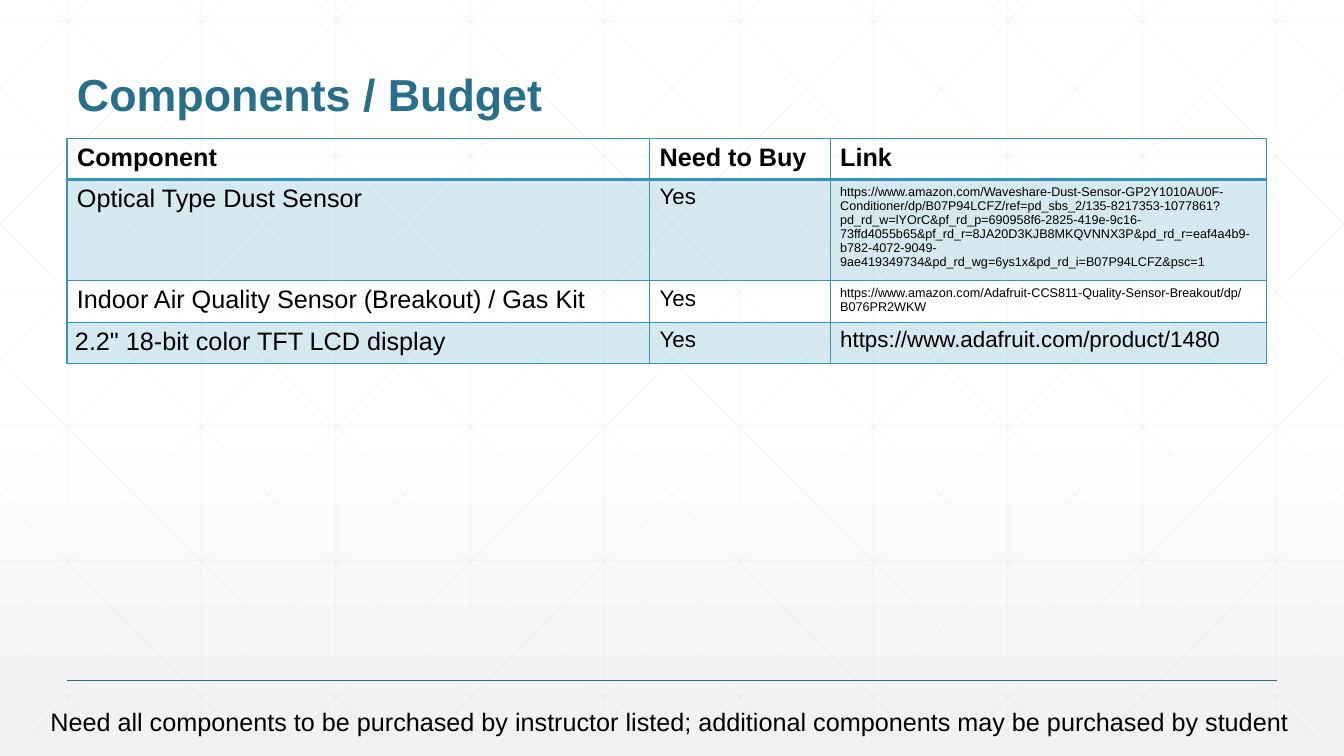
"""Build the Components / Budget slide."""
import copy
from dataclasses import dataclass

import lxml.etree
import pptx
import pptx.dml.color
import pptx.enum.shapes
import pptx.enum.text
import pptx.oxml.ns
import pptx.slide
import pptx.table
import pptx.text.text
import pptx.util

Cm = pptx.util.Cm
qn = pptx.oxml.ns.qn


@dataclass(frozen=True)
class Theme:
    font: str = "Arial"
    text: str = "000000"
    title: str = "276F8B"
    accent: str = "3494BA"
    grid: str = "D9D9D9"
    background: tuple[tuple[float, str], ...] = ((0, "FFFFFF"), (0.53, "FFFFFF"), (1, "F2F2F2"))
    title_size: float = 32
    body_size: float = 18
    answer_size: float = 16
    fine_size: float = 9


@dataclass(frozen=True)
class Segment:
    x1: float
    y1: float
    x2: float
    y2: float


@dataclass(frozen=True)
class Component:
    name: str
    need_to_buy: str
    link: str
    link_size: float
    shaded: bool = False
    inset: float = 0.25


THEME = Theme()
WIDTH, HEIGHT = 33.87, 19.05
GRID_TOP, GRID_BOTTOM = -0.53, 18.52
MARGIN = 1.69
ROW_HEIGHT = 1.04
HEADER_RULE = 2.25
COLUMN_WIDTHS = (14.68, 4.55, 11)
HEADINGS = ("Component", "Need to Buy", "Link")
COMPONENTS = (
    Component(
        "Optical Type Dust Sensor", "Yes",
        "https://www.amazon.com/Waveshare-Dust-Sensor-GP2Y1010AU0F-Conditioner/dp/B07P94LCFZ/"
        "ref=pd_sbs_2/135-8217353-1077861?pd_rd_w=lYOrC&pf_rd_p=690958f6-2825-419e-9c16-73ffd4055b65"
        "&pf_rd_r=8JA20D3KJB8MKQVNNX3P&pd_rd_r=eaf4a4b9-b782-4072-9049-9ae419349734"
        "&pd_rd_wg=6ys1x&pd_rd_i=B07P94LCFZ&psc=1",
        THEME.fine_size, shaded=True),
    Component(
        "Indoor Air Quality Sensor (Breakout) / Gas Kit", "Yes",
        "https://www.amazon.com/Adafruit-CCS811-Quality-Sensor-Breakout/dp/B076PR2WKW",
        THEME.fine_size),
    Component(
        '2.2" 18-bit color TFT LCD display', "Yes", "https://www.adafruit.com/product/1480",
        THEME.answer_size, shaded=True, inset=0.2),
)


def rgb(value: str) -> pptx.dml.color.RGBColor:
    return pptx.dml.color.RGBColor.from_string(value)


def set_opacity(parent: lxml.etree._Element, percent: int) -> None:
    color = next(parent.iter(qn("a:srgbClr")))
    lxml.etree.SubElement(color, qn("a:alpha"), val=str(percent * 1000))


def write(frame: pptx.text.text.TextFrame, text: str, *, size: float = THEME.body_size,
          color: str = THEME.text, bold: bool = False, spacing: float = 1) -> None:
    paragraph = frame.paragraphs[0]
    paragraph.alignment = pptx.enum.text.PP_ALIGN.LEFT
    paragraph.line_spacing = spacing
    run = paragraph.add_run()
    run.text = text
    run.font.name = THEME.font
    run.font.size = pptx.util.Pt(size)
    run.font.bold = bold
    run.font.color.rgb = rgb(color)


def paint_background(slide: pptx.slide.Slide) -> None:
    fill = slide.background.fill
    fill.gradient()
    fill.gradient_angle = 270
    stops = next(slide.element.iter(qn("a:gsLst")))
    stops.append(copy.deepcopy(stops[0]))
    for stop, (position, color) in zip(fill.gradient_stops, THEME.background):
        stop.position = position
        stop.color.rgb = rgb(color)


def draw_line(slide: pptx.slide.Slide, segment: Segment, color: str, width: float,
              opacity: int = 100) -> None:
    line = slide.shapes.add_connector(
        pptx.enum.shapes.MSO_CONNECTOR.STRAIGHT,
        Cm(segment.x1), Cm(segment.y1), Cm(segment.x2), Cm(segment.y2))
    line.line.color.rgb = rgb(color)
    line.line.width = pptx.util.Pt(width)
    properties = line.element.spPr
    if opacity < 100:
        set_opacity(properties, opacity)
    lxml.etree.SubElement(properties, qn("a:effectLst"))


def grid_segments() -> list[Segment]:
    pitch = WIDTH / 10
    run, rise = 18.94, GRID_BOTTOM - GRID_TOP
    segments = [Segment(MARGIN + pitch * i, GRID_TOP, MARGIN + pitch * i, GRID_BOTTOM)
                for i in range(10)]
    segments += [Segment(0, 0.53 + 3.4 * i, WIDTH, 0.53 + 3.4 * i) for i in range(6)]
    for i in range(-5, 10):
        start = 0.63 + pitch * i
        left, right = max(start, 0), min(start + run, WIDTH)
        top, bottom = (GRID_TOP + (x - start) * rise / run for x in (left, right))
        segments += [Segment(left, top, right, bottom),
                     Segment(WIDTH - left, top, WIDTH - right, bottom)]
    return segments


def set_borders(cell: pptx.table._Cell, top: float, bottom: float) -> None:
    properties = cell._tc.get_or_add_tcPr()
    for index, (side, width) in enumerate(
            (("a:lnL", 1), ("a:lnR", 1), ("a:lnT", top), ("a:lnB", bottom))):
        border = lxml.etree.Element(qn(side), w=str(pptx.util.Pt(width)))
        solid = lxml.etree.SubElement(border, qn("a:solidFill"))
        lxml.etree.SubElement(solid, qn("a:srgbClr"), val=THEME.accent)
        properties.insert(index, border)


def format_cell(cell: pptx.table._Cell, shaded: bool, top: float, bottom: float) -> None:
    if shaded:
        cell.fill.solid()
        cell.fill.fore_color.rgb = rgb(THEME.accent)
        set_opacity(cell._tc.get_or_add_tcPr(), 20)
    else:
        cell.fill.background()
    set_borders(cell, top, bottom)


def add_budget(slide: pptx.slide.Slide) -> None:
    row_count = len(COMPONENTS) + 1
    budget = slide.shapes.add_table(
        row_count, len(HEADINGS), Cm(MARGIN), Cm(3.49),
        Cm(sum(COLUMN_WIDTHS)), Cm(ROW_HEIGHT * row_count)).table
    budget.first_row = budget.horz_banding = False
    for column, width in zip(budget.columns, COLUMN_WIDTHS):
        column.width = Cm(width)
    for cell, heading in zip(budget.rows[0].cells, HEADINGS):
        write(cell.text_frame, heading, bold=True)
        format_cell(cell, False, 1, HEADER_RULE)
    for number, component in enumerate(COMPONENTS, 1):
        name, need, link = budget.rows[number].cells
        write(name.text_frame, component.name)
        write(need.text_frame, component.need_to_buy, size=THEME.answer_size)
        write(link.text_frame, component.link, size=component.link_size)
        name.margin_left = name.margin_right = Cm(component.inset)
        for cell in (name, need, link):
            format_cell(cell, component.shaded, HEADER_RULE if number == 1 else 1, 1)


def main() -> None:
    deck = pptx.Presentation()
    deck.slide_width, deck.slide_height = Cm(WIDTH), Cm(HEIGHT)
    slide = deck.slides.add_slide(deck.slide_layouts[6])
    paint_background(slide)
    for segment in grid_segments():
        draw_line(slide, segment, THEME.grid, 0.5, opacity=25)
    draw_line(slide, Segment(MARGIN, 17.15, WIDTH - MARGIN, 17.15), THEME.title, 1)

    title = slide.shapes.add_textbox(Cm(MARGIN), Cm(0.64), Cm(30.48), Cm(2.54)).text_frame
    title.word_wrap = True
    title.vertical_anchor = pptx.enum.text.MSO_ANCHOR.BOTTOM
    write(title, "Components / Budget", size=THEME.title_size, color=THEME.title,
          bold=True, spacing=0.9)
    add_budget(slide)

    note = slide.shapes.add_textbox(Cm(1.02), Cm(17.68), Cm(32), Cm(1.02)).text_frame
    note.word_wrap = False
    note.auto_size = pptx.enum.text.MSO_AUTO_SIZE.SHAPE_TO_FIT_TEXT
    write(note, "Need all components to be purchased by instructor listed; "
                "additional components may be purchased by student")
    deck.save("out.pptx")


if __name__ == "__main__":
    main()
